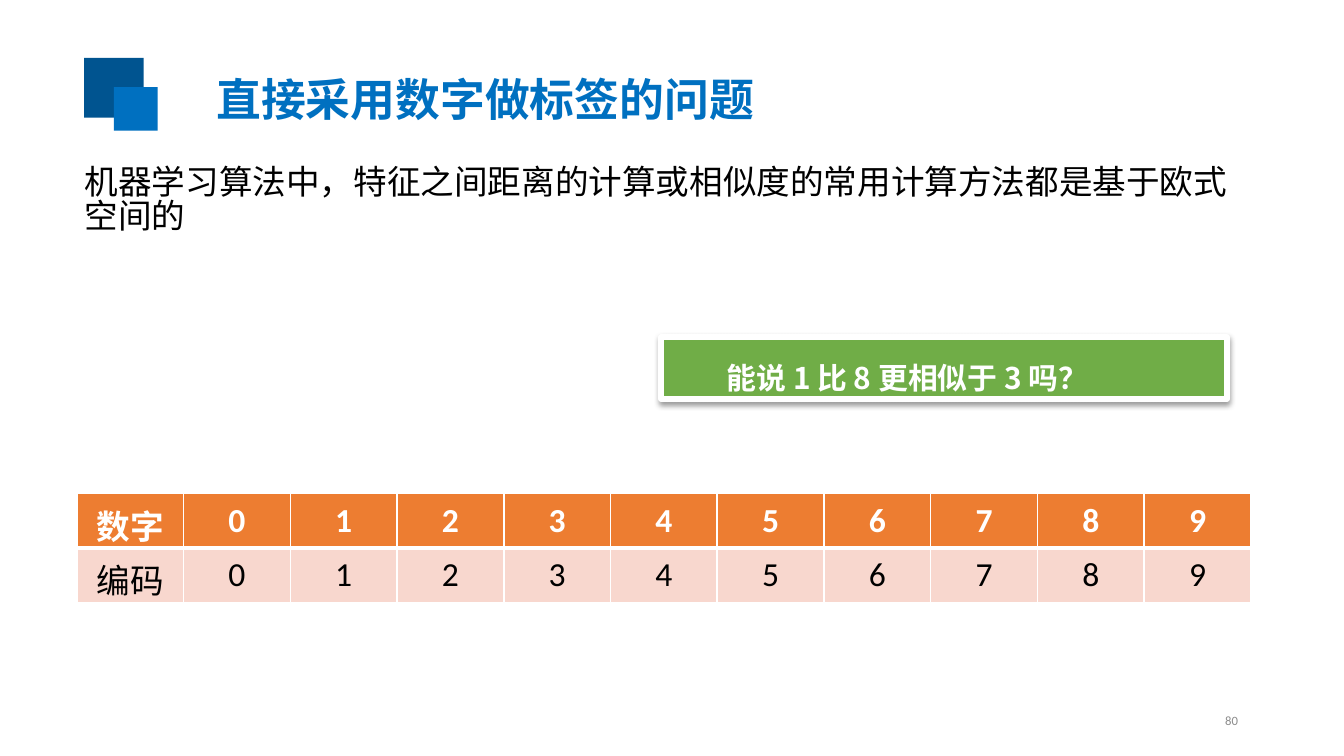
from lxml import etree
from pptx import Presentation
from pptx.dml.color import RGBColor
from pptx.enum.shapes import MSO_SHAPE
from pptx.enum.text import MSO_ANCHOR, MSO_AUTO_SIZE, PP_ALIGN
from pptx.oxml import parse_xml
from pptx.oxml.ns import nsdecls, qn
from pptx.util import Pt

RECTANGLE = MSO_SHAPE.RECTANGLE
TOP, MIDDLE = MSO_ANCHOR.TOP, MSO_ANCHOR.MIDDLE
NO_AUTO_SIZE = MSO_AUTO_SIZE.NONE
LEFT, CENTER, RIGHT = PP_ALIGN.LEFT, PP_ALIGN.CENTER, PP_ALIGN.RIGHT

WHITE = RGBColor(0xFF, 0xFF, 0xFF)
BLACK = RGBColor(0x00, 0x00, 0x00)
GRAY = RGBColor(0x8C, 0x8C, 0x8C)
BLUE = RGBColor(0x00, 0x70, 0xC0)
DARK_BLUE = RGBColor(0x00, 0x54, 0x90)
ORANGE = RGBColor(0xED, 0x7D, 0x31)
PALE_ORANGE = RGBColor(0xF8, 0xD7, 0xCE)
GREEN = RGBColor(0x70, 0xAD, 0x47)
LATIN_FONT = "Calibri"
CHINESE_FONT = "Noto Sans CJK SC"


def format_paragraph(paragraph, size, color, bold=False, alignment=LEFT, name=CHINESE_FONT):
    paragraph.alignment = alignment
    font = paragraph.font
    font.size = Pt(size)
    font.bold = bold
    font.color.rgb = color
    font.name = name
    properties = paragraph._p.pPr.find(qn("a:defRPr"))
    etree.SubElement(properties, qn("a:ea"), typeface=CHINESE_FONT)


def place(shape, left, top, width, height):
    shape.left, shape.top = Pt(left), Pt(top)
    shape.width, shape.height = Pt(width), Pt(height)


presentation = Presentation()
presentation.slide_width = Pt(720)
presentation.slide_height = Pt(405)
slide = presentation.slides.add_slide(presentation.slide_layouts[1])

title = slide.shapes.title
body = slide.placeholders[1]
place(title, 108.7, 34.6, 335.5, 36)
place(body, 38.2, 85.7, 632.2, 51.1)
title.text_frame.text = "直接采用数字做标签的问题"
body.text_frame.text = "机器学习算法中，特征之间距离的计算或相似度的常用计算方法都是基于欧式空间的"
for placeholder, anchor in ((title, MIDDLE), (body, TOP)):
    placeholder.text_frame.auto_size = NO_AUTO_SIZE
    placeholder.text_frame.vertical_anchor = anchor
format_paragraph(title.text_frame.paragraphs[0], 24, BLUE, bold=True)

statement = body.text_frame.paragraphs[0]
statement.line_spacing = 0.85
statement.space_before = Pt(0)
statement_properties = statement._p.get_or_add_pPr()
statement_properties.set("marL", "0")
statement_properties.set("indent", "0")
etree.SubElement(statement_properties, qn("a:buNone"))
format_paragraph(statement, 18, BLACK)

page_number = slide.shapes.add_textbox(Pt(508.3), Pt(375.1), Pt(162), Pt(21.6))
page_number.text_frame.word_wrap = True
page_number.text_frame.vertical_anchor = MIDDLE
page_number.text_frame.text = "80"
format_paragraph(page_number.text_frame.paragraphs[0], 6.8, GRAY, alignment=RIGHT, name=LATIN_FONT)

ornament = slide.shapes.add_group_shape()
for left, top, width, height, color in (
    (45, 31, 32, 32, DARK_BLUE),
    (61, 46.7, 23.5, 23.3, BLUE),
):
    square = ornament.shapes.add_shape(RECTANGLE, Pt(left), Pt(top), Pt(width), Pt(height))
    square.shadow.inherit = False
    square.fill.solid()
    square.fill.fore_color.rgb = color
    square.line.fill.background()

digits = [str(digit) for digit in range(10)]
rows = (
    ("数字", ORANGE, WHITE, True, {"L": 1, "R": 1, "T": 1, "B": 3}),
    ("编码", PALE_ORANGE, BLACK, False, {"L": 1, "R": 1, "T": 3, "B": 1}),
)
column_width, row_height = 57.2, 29.2
column_count = len(digits) + 1
table = slide.shapes.add_table(
    len(rows), column_count, Pt(41.2), Pt(264.4),
    Pt(column_width * column_count), Pt(row_height * len(rows)),
).table
for column in table.columns:
    column.width = Pt(column_width)
for row, (label, fill_color, text_color, bold, borders) in zip(table.rows, rows):
    row.height = Pt(row_height)
    for cell, text in zip(row.cells, [label] + digits):
        cell.margin_top, cell.margin_bottom = Pt(3.6), Pt(0)
        cell_properties = cell._tc.get_or_add_tcPr()
        for side, width in borders.items():
            cell_properties.append(parse_xml(
                f'<a:ln{side} {nsdecls("a")} w="{Pt(width)}"><a:solidFill>'
                f'<a:srgbClr val="{WHITE}"/></a:solidFill></a:ln{side}>'
            ))
        cell.fill.solid()
        cell.fill.fore_color.rgb = fill_color
        cell.text = text
        format_paragraph(cell.text_frame.paragraphs[0], 18, text_color, bold, CENTER, LATIN_FONT)

question = slide.shapes.add_shape(RECTANGLE, Pt(354.2), Pt(180.7), Pt(303.1), Pt(33.1))
question.fill.solid()
question.fill.fore_color.rgb = GREEN
question.line.color.rgb = WHITE
question.line.width = Pt(3)
question.shadow.inherit = False
question._element.spPr.find(qn("a:effectLst")).append(parse_xml(
    f'<a:outerShdw {nsdecls("a")} blurRad="{Pt(3.1)}" dist="{Pt(1.6)}" dir="5400000" '
    f'rotWithShape="0"><a:srgbClr val="{BLACK}"><a:alpha val="38000"/></a:srgbClr></a:outerShdw>'
))
question.text_frame.word_wrap = True
question.text_frame.vertical_anchor = MIDDLE
question.text_frame.text = "能说 1 比 8 更相似于 3 吗？"
question_paragraph = question.text_frame.paragraphs[0]
question_paragraph.line_spacing = 1.5
question_paragraph._p.get_or_add_pPr().set("indent", str(Pt(28)))
format_paragraph(question_paragraph, 16, WHITE, bold=True)

presentation.save("out.pptx")
